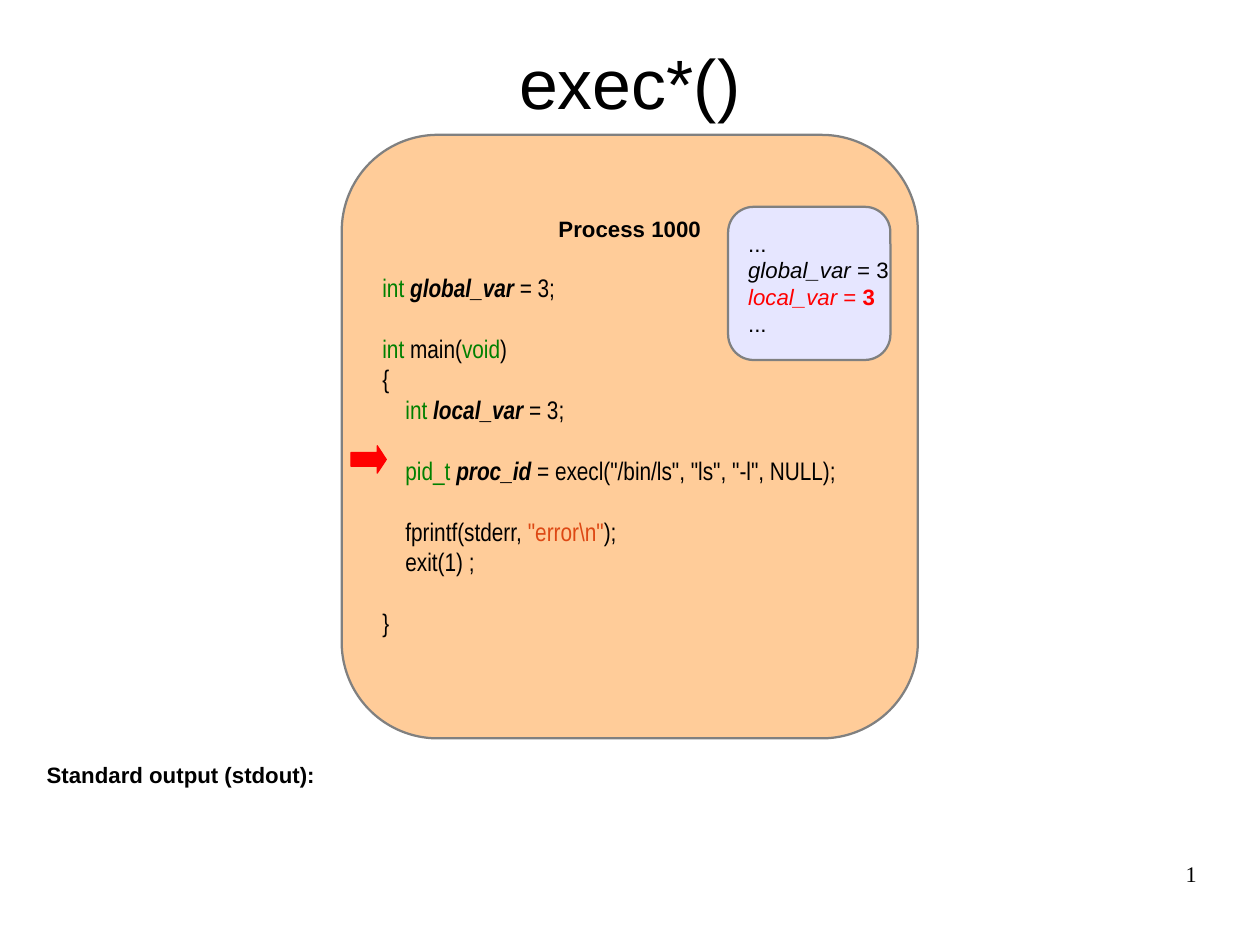
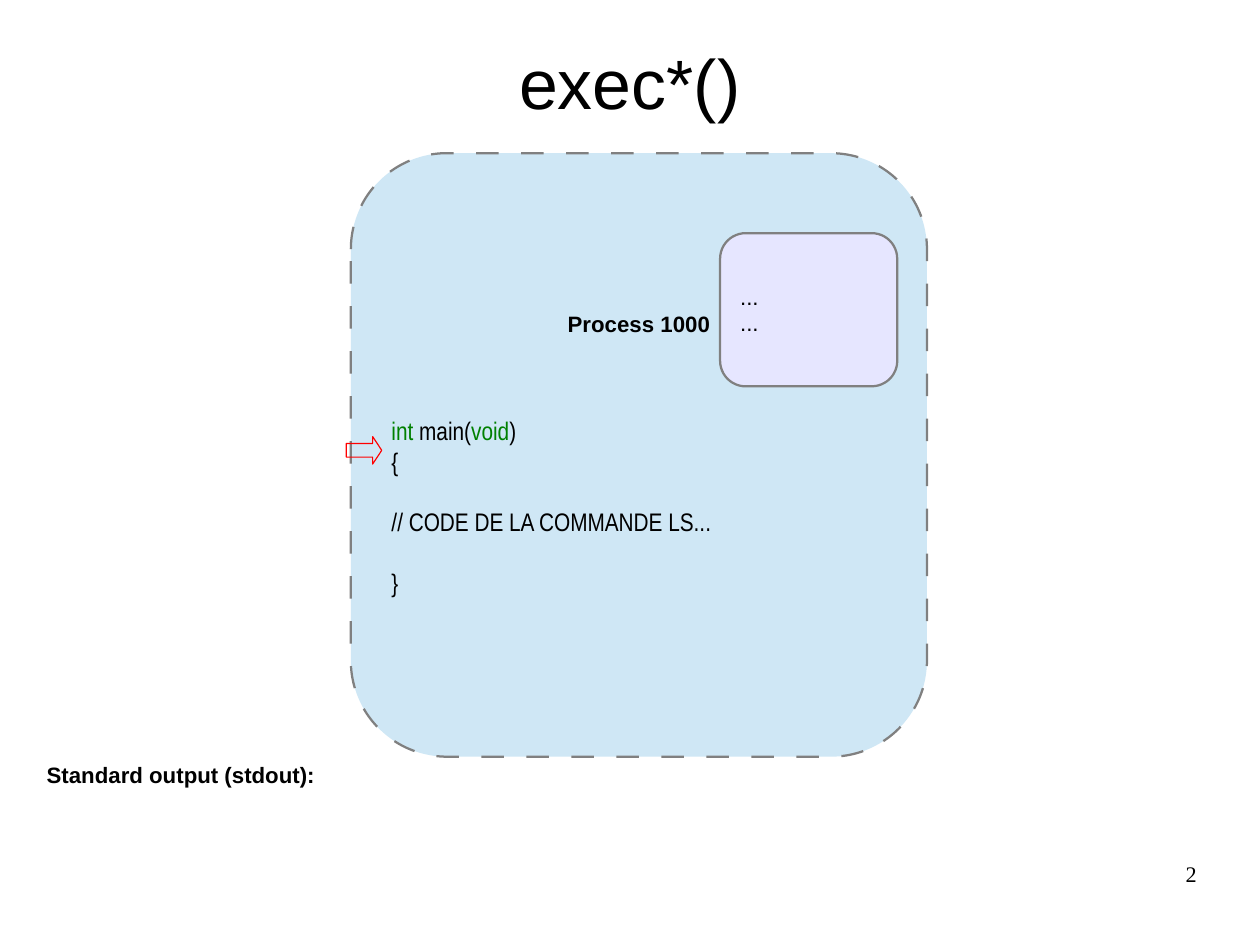
from dataclasses import dataclass
from typing import NamedTuple

from lxml import etree
from pptx import Presentation
from pptx.dml.color import RGBColor
from pptx.enum.shapes import MSO_SHAPE
from pptx.enum.text import MSO_ANCHOR, PP_ALIGN
from pptx.oxml.ns import qn
from pptx.util import Inches, Pt

ROUNDED, ARROW = MSO_SHAPE.ROUNDED_RECTANGLE, MSO_SHAPE.RIGHT_ARROW
LEFT, CENTER, RIGHT = PP_ALIGN.LEFT, PP_ALIGN.CENTER, PP_ALIGN.RIGHT
MIDDLE = MSO_ANCHOR.MIDDLE

COLORS = {
    "text": "000000",
    "keyword": "008000",
    "string": "DD4814",
    "accent": "FF0000",
    "outline": "808080",
    "memory": "E6E6FF",
    "old_program": "FFCC99",
    "new_program": "CFE7F5",
}
SANS, NARROW, SERIF = "Arial", "Arial Narrow", "Times New Roman"
TITLE_SIZE, LABEL_SIZE, CODE_SIZE = 44, 14, 16
CODE_GAP = 19.2  # height of one empty line of code, in points
OUTLINE_WIDTH = 1.42
CORNER = 1 / 6
SLIDE_SIZE = (28 / 2.54, 21 / 2.54)  # 28 by 21 cm
PROCESS_SIZE = (5.04, 5.28)
MEMORY_HEIGHT = 1.34


class Span(NamedTuple):
    text: str
    color: str = "text"
    bold: bool = False
    italic: bool = False


class Line(NamedTuple):
    spans: list[Span]
    before: float = 0
    size: int = CODE_SIZE
    font: str = NARROW
    align: int = LEFT


class Box(NamedTuple):
    left: float
    top: float
    width: float
    height: float


@dataclass
class ProcessState:
    program_color: str
    dashed: bool
    process_at: tuple[float, float]
    code: list[Line]
    bottom_inset: float
    memory_at: tuple[float, float]
    memory_width: float
    memory: list[list[Span]]
    pointer_at: tuple[float, float]
    pointer_filled: bool


def rgb(color: str) -> RGBColor:
    return RGBColor.from_string(COLORS[color])


def style(paragraph, font: str, size: int, align=LEFT, bold: bool = False) -> None:
    paragraph.alignment = align
    paragraph.font.name = font
    paragraph.font.size = Pt(size)
    paragraph.font.bold = bold
    paragraph.font.color.rgb = rgb("text")


def set_margins(frame, side: float, top: float, bottom: float) -> None:
    frame.margin_left = frame.margin_right = Inches(side)
    frame.margin_top, frame.margin_bottom = Inches(top), Inches(bottom)


def write_lines(frame, lines: list[Line]) -> None:
    for number, line in enumerate(lines):
        paragraph = frame.add_paragraph() if number else frame.paragraphs[0]
        style(paragraph, line.font, line.size, line.align)
        if line.before:
            paragraph.space_before = Pt(line.before)
        for span in line.spans:
            run = paragraph.add_run()
            run.text = span.text
            run.font.color.rgb = rgb(span.color)
            if span.bold:
                run.font.bold = True
            if span.italic:
                run.font.italic = True


def add_panel(slide, box: Box, fill: str, lines: list[Line],
              bottom: float = 0.06, dashed: bool = False) -> None:
    panel = slide.shapes.add_shape(ROUNDED, *map(Inches, box))
    panel.adjustments[0] = CORNER
    panel.shadow.inherit = False
    panel.fill.solid()
    panel.fill.fore_color.rgb = rgb(fill)
    panel.line.color.rgb = rgb("outline")
    panel.line.width = Pt(OUTLINE_WIDTH)
    if dashed:
        # Dashes and gaps are ten line widths long
        outline = panel._element.spPr.find(qn("a:ln"))
        dash = etree.SubElement(outline, qn("a:custDash"))
        etree.SubElement(dash, qn("a:ds"), d="1000000", sp="1000000")
    frame = panel.text_frame
    frame.word_wrap = False
    frame.vertical_anchor = MIDDLE
    set_margins(frame, 0.11, 0.06, bottom)
    write_lines(frame, lines)


def add_pointer(slide, at: tuple[float, float], filled: bool) -> None:
    pointer = slide.shapes.add_shape(ARROW, *map(Inches, Box(*at, 0.31, 0.24)))
    pointer.adjustments[0], pointer.adjustments[1] = 0.5, 0.33
    pointer.shadow.inherit = False
    if filled:
        pointer.fill.solid()
        pointer.fill.fore_color.rgb = rgb("accent")
    else:
        pointer.fill.background()
    pointer.line.color.rgb = rgb("accent")
    pointer.line.width = Pt(0)


def add_text_box(slide, box: Box, side: float, top: float):
    frame = slide.shapes.add_textbox(*map(Inches, box)).text_frame
    frame.word_wrap = True
    set_margins(frame, side, top, top)
    return frame.paragraphs[0]


def add_frame(slide, number: int) -> None:
    # Title
    title = slide.shapes.title
    title.left, title.top, title.width, title.height = map(
        Inches, Box(0.55, 0.33, 9.92, 0.77))
    title.text_frame.text = "exec*()"
    title.text_frame.vertical_anchor = MIDDLE
    set_margins(title.text_frame, 0, 0, 0)
    style(title.text_frame.paragraphs[0], SANS, TITLE_SIZE, CENTER)

    # Standard output
    stdout = add_text_box(slide, Box(0.31, 6.61, 10.47, 1.34), 0.1, 0.05)
    stdout.text = "Standard output (stdout):"
    style(stdout, SANS, LABEL_SIZE, bold=True)

    # Slide number
    page = add_text_box(slide, Box(7.9, 7.53, 2.57, 0.57), 0, 0)
    field = etree.SubElement(page._p, qn("a:fld"), type="slidenum",
                             id="{B6F15528-21DE-4FAA-801E-634DDDAF4B2B}")
    etree.SubElement(field, qn("a:rPr"), lang="en-US")
    etree.SubElement(field, qn("a:t")).text = str(number)
    style(page, SERIF, LABEL_SIZE, RIGHT)


def add_state(slide, state: ProcessState) -> None:
    heading = Line([Span("Process 1000", bold=True)], 0, LABEL_SIZE, SANS, CENTER)
    add_panel(slide, Box(*state.process_at, *PROCESS_SIZE), state.program_color,
              [heading, *state.code], state.bottom_inset, state.dashed)
    add_panel(slide, Box(*state.memory_at, state.memory_width, MEMORY_HEIGHT), "memory",
              [Line(spans, 0, LABEL_SIZE, SANS) for spans in state.memory])
    add_pointer(slide, state.pointer_at, state.pointer_filled)


def declaration(kind: str, name: str, value: str, indent: str = "") -> list[Span]:
    return [Span(indent + kind, "keyword"), Span(name, bold=True, italic=True), Span(value)]


ELLIPSIS = [Span("...")]
MAIN = [Span("int", "keyword"), Span(" main("), Span("void", "keyword"), Span(")")]
INDENT = "    "

STATES = [
    # Before the call
    ProcessState(
        program_color="old_program",
        dashed=False,
        process_at=(2.99, 1.18),
        code=[
            Line(declaration("int ", "global_var", " = 3;"), CODE_GAP),
            Line(MAIN, CODE_GAP),
            Line([Span("{")]),
            Line(declaration("int ", "local_var", " = 3;", INDENT)),
            Line(declaration("pid_t ", "proc_id",
                             ' = execl("/bin/ls", "ls", "-l", NULL);', INDENT), CODE_GAP),
            Line([Span(INDENT + "fprintf(stderr, "), Span('"error\\n"', "string"),
                  Span(");")], CODE_GAP),
            Line([Span(INDENT + "exit(1) ;")]),
            Line([Span("}")], CODE_GAP),
        ],
        bottom_inset=0.24,
        memory_at=(6.37, 1.81),
        memory_width=1.42,
        memory=[
            ELLIPSIS,
            [Span("global_var", italic=True), Span(" = 3")],
            [Span("local_var", "accent", italic=True), Span(" = ", "accent"),
             Span("3", "accent", bold=True)],
            ELLIPSIS,
        ],
        pointer_at=(3.07, 3.9),
        pointer_filled=True,
    ),
    # After the call
    ProcessState(
        program_color="new_program",
        dashed=True,
        process_at=(3.07, 1.34),
        code=[
            Line(MAIN, 49),
            Line([Span("{")]),
            Line([Span("// CODE DE LA COMMANDE LS...")], CODE_GAP),
            Line([Span("}")], CODE_GAP),
        ],
        bottom_inset=0.07,
        memory_at=(6.3, 2.04),
        memory_width=1.55,
        memory=[ELLIPSIS, ELLIPSIS],
        pointer_at=(3.03, 3.82),
        pointer_filled=False,
    ),
]


def main() -> None:
    deck = Presentation()
    deck.slide_width, deck.slide_height = map(Inches, SLIDE_SIZE)
    title_only = deck.slide_layouts[5]
    for number, state in enumerate(STATES, start=1):
        slide = deck.slides.add_slide(title_only)
        add_frame(slide, number)
        add_state(slide, state)
    deck.save("out.pptx")


if __name__ == "__main__":
    main()
